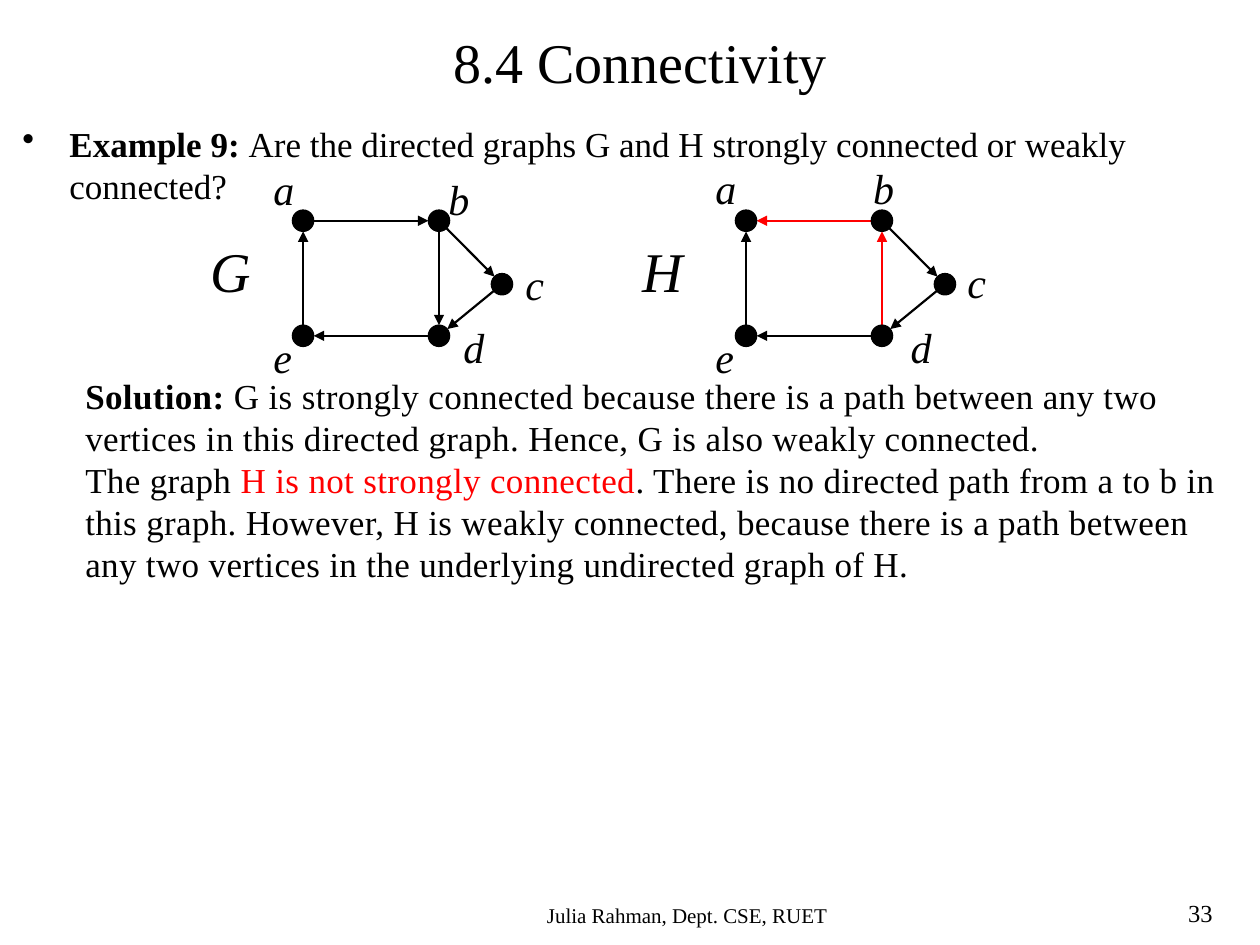
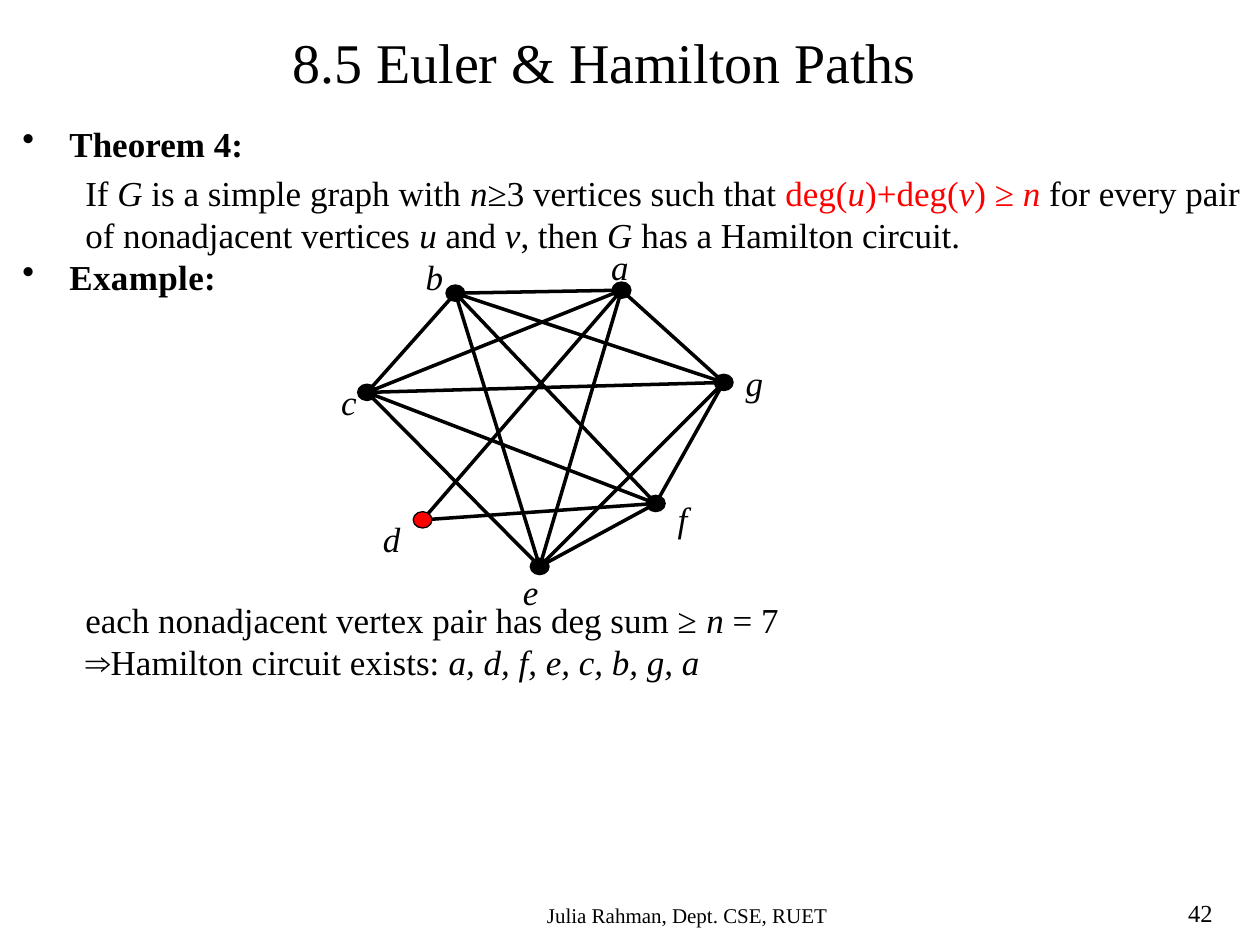
import math
import pptx
import pptx.util
import pptx.dml.color
import pptx.enum.shapes
import pptx.enum.text
import pptx.oxml.ns
from lxml import etree

Cm = pptx.util.Cm
Pt = pptx.util.Pt
qn = pptx.oxml.ns.qn
ALIGN = pptx.enum.text.PP_ALIGN
SHAPE = pptx.enum.shapes.MSO_SHAPE
STRAIGHT = pptx.enum.shapes.MSO_CONNECTOR.STRAIGHT
BLACK, RED = "000000", "FF0000"


def paint(fill, color):
    fill.solid()
    fill.fore_color.rgb = pptx.dml.color.RGBColor.from_string(color)


def write(paragraph, text, size=20, bold=False, italic=False, color=BLACK, spacing=0):
    run = paragraph.add_run()
    run.text = text
    run.font.name = "Times New Roman"
    run.font.size = Pt(size)
    run.font.bold = bold
    run.font.italic = italic
    paint(run.font.fill, color)
    if spacing:
        run.font._element.set("spc", str(round(spacing * 100)))


plain = {}
strong = {"bold": True}
variable = {"italic": True}
red = {"color": RED}
red_variable = {"italic": True, "color": RED}
loose = {"spacing": 0.2}
loose_strong = {"bold": True, "spacing": 0.2}
loose_red = {"color": RED, "spacing": 0.2}

example_text = [
    (2.34, [(True, 0, [
        ("Example 9: ", strong),
        ("Are the directed graphs G and H strongly connected or weakly connected?", plain)])]),
    (7.42, [
        (False, 0, [
            ("Solution: ", loose_strong),
            ("G is strongly connected because there is a path between any two vertices "
             "in this directed graph. Hence, G is also weakly connected.", loose)]),
        (False, 0, [
            ("The graph ", loose),
            ("H is not strongly connected", loose_red),
            (". There is no directed path from a to b in this graph. However, H is weakly "
             "connected, because there is a path between any two vertices in the underlying "
             "undirected graph of H.", loose)])]),
]
theorem_text = [
    (2.34, [
        (True, 0, [("Theorem 4:", strong)]),
        (False, 4, [
            ("If ", plain), ("G", variable), (" is a simple graph with ", plain),
            ("n", variable), ("≥3 vertices such that ", plain),
            ("deg(", red), ("u", red_variable), (")+deg(", red), ("v", red_variable),
            (") ≥ ", red), ("n ", red_variable),
            ("for every pair of nonadjacent vertices ", plain), ("u", variable),
            (" and ", plain), ("v", variable), (", then ", plain), ("G", variable),
            (" has a Hamilton circuit.", plain)]),
        (True, 0, [("Example:", loose_strong)])]),
    (11.94, [
        (False, 0, [
            ("each nonadjacent vertex pair has deg sum ≥", plain),
            (" n ", variable), ("= 7", plain)]),
        (False, 0, [
            ("⇒Hamilton circuit exists: ", plain),
            ("a, d, f, e, c, b, g, a", variable)])]),
]

directed_vertices = {"a": (6.11, 4.45), "b": (8.85, 4.45), "c": (10.12, 5.73),
                     "d": (8.85, 6.77), "e": (6.11, 6.77)}
shifted_vertices = {name: (x + 8.93, y) for name, (x, y) in directed_vertices.items()}
hamilton_vertices = {"a": (12.53, 5.85), "b": (9.18, 5.91), "c": (7.4, 7.91),
                     "d": (8.52, 10.48), "e": (10.88, 11.42), "f": (13.22, 10.15),
                     "g": (14.59, 7.71)}
directed_labels = {"a": (5.26, 3.18), "b": (8.79, 3.38), "c": (10.34, 5.08),
                   "d": (9.09, 6.35), "e": (5.26, 6.55), "G": (3.99, 4.65)}
shifted_labels = {"a": (14.17, 3.15), "b": (17.35, 3.15), "c": (19.25, 5.05),
                  "d": (18.11, 6.35), "e": (14.17, 6.55), "H": (12.7, 4.65)}
hamilton_labels = {"a": (12.07, 4.83), "b": (8.33, 5.03), "c": (6.63, 7.54),
                   "d": (7.47, 10.31), "e": (10.29, 11.38), "f": (13.41, 9.91),
                   "g": (14.78, 7.16)}

arrow_style = {"width": 1.25, "directed": True, "dot": (SHAPE.OVAL, 0.43, 0.43),
               "label_size": 24}
edge_style = {"width": 2, "directed": False,
              "dot": (SHAPE.FLOWCHART_CONNECTOR, 0.38, 0.33), "label_size": 20}

graph_g = (directed_vertices, directed_labels, "ab bd bc cd de ea", "", "", arrow_style)
graph_h = (shifted_vertices, shifted_labels, "ba db bc cd de ea", "ba db", "", arrow_style)
graph_hamilton = (hamilton_vertices, hamilton_labels,
                  "ad bc bg ag ce ac fg cg ab cf ef ae df be eg bf", "", "d", edge_style)

pages = [
    ("8.4 Connectivity", 8.89, 8.05, "33", example_text, [graph_g, graph_h]),
    ("8.5 Euler & Hamilton Paths", 5.64, 15.54, "42", theorem_text, [graph_hamilton]),
]

deck = pptx.Presentation()
deck.slide_width, deck.slide_height = Cm(25.4), Cm(19.05)

for heading, heading_left, heading_width, number, passages, graphs in pages:
    slide = deck.slides.add_slide(deck.slide_layouts[5])
    title = slide.shapes.title
    title.left, title.top = Cm(heading_left), Cm(0.43)
    title.width, title.height = Cm(heading_width), Cm(1.63)
    title.text_frame.auto_size = pptx.enum.text.MSO_AUTO_SIZE.NONE
    title.text_frame.vertical_anchor = pptx.enum.text.MSO_ANCHOR.TOP
    title.text_frame.paragraphs[0].alignment = ALIGN.LEFT
    write(title.text_frame.paragraphs[0], heading, size=32)

    for top, paragraphs in passages:
        lines = 3 + 2 * (len(paragraphs) - 1)
        passage = slide.shapes.add_textbox(Cm(0.2), Cm(top), Cm(25.2), Cm(0.85 * lines))
        passage.text_frame.word_wrap = True
        for index, (bulleted, space, runs) in enumerate(paragraphs):
            frame = passage.text_frame
            paragraph = frame.add_paragraph() if index else frame.paragraphs[0]
            paragraph.line_spacing = Pt(24)
            paragraph.space_before = Pt(space)
            properties = paragraph._p.get_or_add_pPr()
            properties.set("marL", str(Cm(0.95 if bulleted else 1.27)))
            properties.set("indent", str(Cm(-0.95 if bulleted else 0)))
            if bulleted:
                etree.SubElement(properties, qn("a:buChar")).set("char", "•")
            for text, style in runs:
                write(paragraph, text, **style)

    captions = [
        (number, 23.7, 17.98, 1.7, ALIGN.LEFT, {"size": 14}),
        ("Julia Rahman, Dept. CSE, RUET", 6.55, 18.06, 14.61, ALIGN.CENTER, {"size": 12}),
    ]

    for vertices, labels, edges, red_edges, red_vertices, style in graphs:
        dot_shape, dot_width, dot_height = style["dot"]
        for edge in edges.split():
            (x1, y1), (x2, y2) = vertices[edge[0]], vertices[edge[1]]
            trim = dot_width / 2 / math.dist((x1, y1), (x2, y2)) if style["directed"] else 0
            dx, dy = (x2 - x1) * trim, (y2 - y1) * trim
            link = slide.shapes.add_connector(
                STRAIGHT, Cm(x1 + dx), Cm(y1 + dy), Cm(x2 - dx), Cm(y2 - dy))
            link.line.width = Pt(style["width"])
            paint(link.line.fill, RED if edge in red_edges.split() else BLACK)
            if style["directed"]:
                tip = etree.SubElement(link.line._get_or_add_ln(), qn("a:tailEnd"))
                tip.set("type", "triangle")
            etree.SubElement(link._element.spPr, qn("a:effectLst"))

        for name, (x, y) in vertices.items():
            dot = slide.shapes.add_shape(
                dot_shape, Cm(x - dot_width / 2), Cm(y - dot_height / 2),
                Cm(dot_width), Cm(dot_height))
            dot.shadow.inherit = False
            paint(dot.fill, RED if name in red_vertices else BLACK)
            paint(dot.line.fill, BLACK)
            dot.line.width = Pt(0.75)

        for name, (left, top) in labels.items():
            size = 32 if name.isupper() else style["label_size"]
            captions.append((name, left, top, size * 0.04, ALIGN.LEFT,
                             {"size": size, "italic": True}))

    for text, left, top, width, alignment, style in captions:
        caption = slide.shapes.add_textbox(
            Cm(left), Cm(top), Cm(width), Cm(style["size"] * 0.04 + 0.27))
        caption.text_frame.word_wrap = True
        caption.text_frame.paragraphs[0].alignment = alignment
        write(caption.text_frame.paragraphs[0], text, **style)

deck.save("out.pptx")
